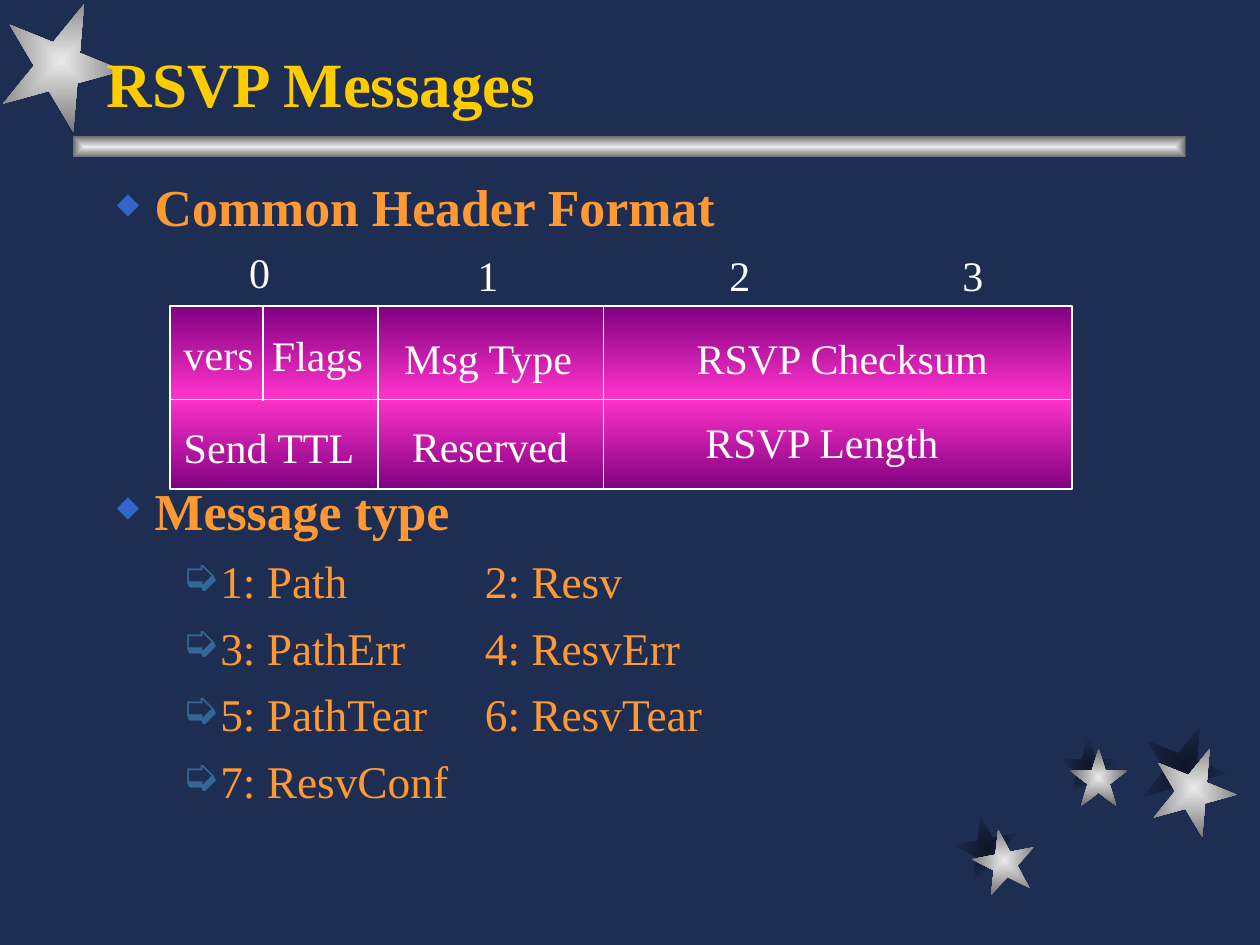
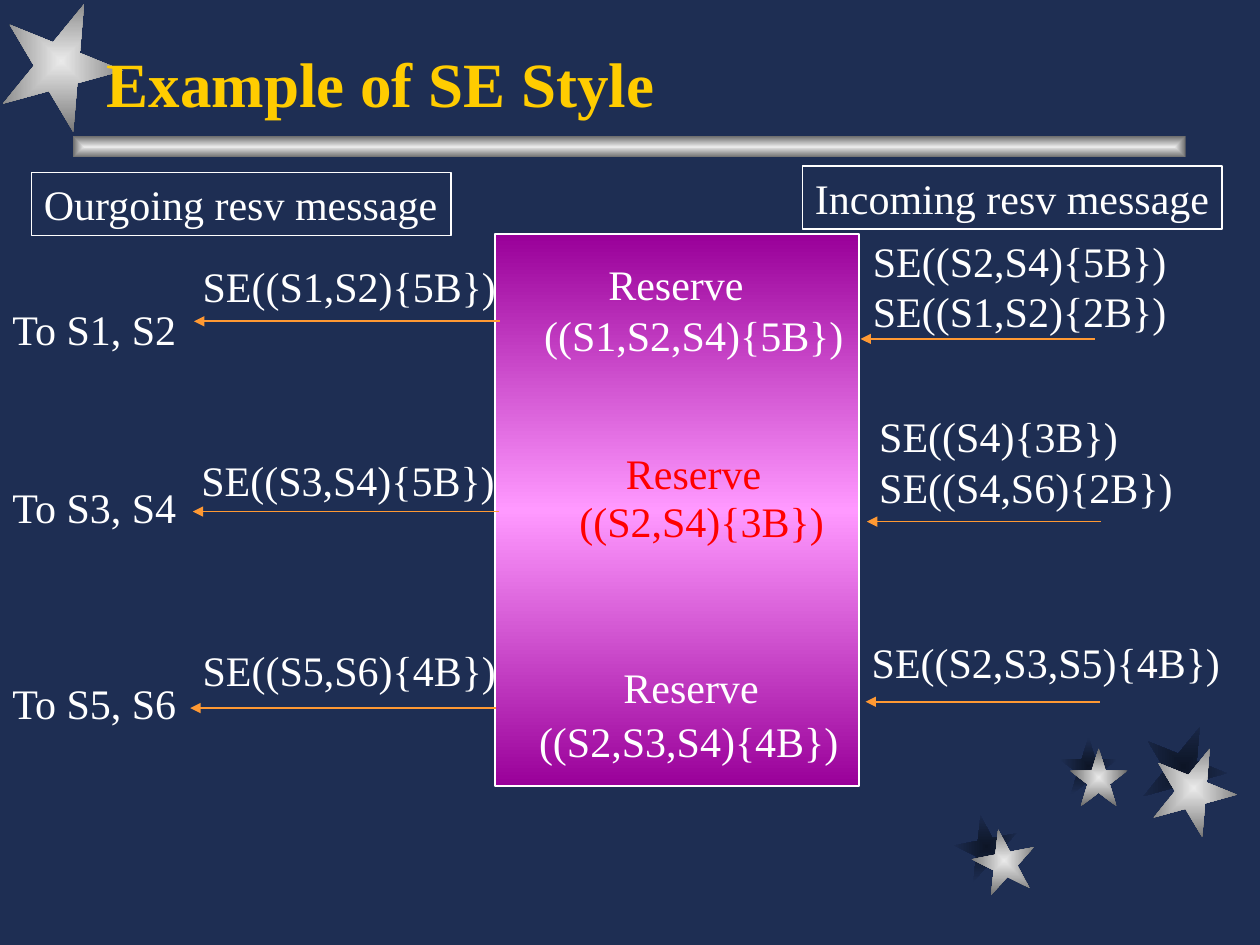
from lxml import etree
from pptx import Presentation
from pptx.dml.color import RGBColor
from pptx.enum.shapes import MSO_CONNECTOR, MSO_SHAPE
from pptx.enum.text import MSO_ANCHOR, MSO_AUTO_SIZE
from pptx.oxml.ns import qn
from pptx.util import Inches, Pt

STAR, RECTANGLE = MSO_SHAPE.STAR_5_POINT, MSO_SHAPE.RECTANGLE
STRAIGHT = MSO_CONNECTOR.STRAIGHT
BOTTOM, FIT_SHAPE = MSO_ANCHOR.BOTTOM, MSO_AUTO_SIZE.SHAPE_TO_FIT_TEXT
FONT = "Times New Roman"
COLORS = {
    "night": "1E2E53", "shade": "0D1526", "silver": "EAEAEA", "steel": "6B6B6B",
    "gold": "FFCC00", "orange": "FF9933", "white": "FFFFFF", "red": "FF0000",
    "diamond": "3366CC", "arrow": "336699", "purple": "800080", "pink": "FF33CC",
    "violet": "990099", "rose": "FF99FF",
}
METAL, SHADOW = ("silver", "steel"), ("shade", "night")


def color(name):
    """Return a named colour."""
    return RGBColor.from_string(COLORS[name])


def add_node(parent, tag, **attributes):
    """Append a drawing element to a parent."""
    return etree.SubElement(parent, qn(tag), attributes)


def fill_gradient(shape, names, from_center):
    """Spread the named colours evenly, from the centre or top to bottom."""
    shape.fill.gradient()
    gradient = shape.fill._xPr.find(qn("a:gradFill"))
    gradient.clear()
    stops = add_node(gradient, "a:gsLst")
    for index, name in enumerate(names):
        stop = add_node(stops, "a:gs", pos=str(100000 * index // (len(names) - 1)))
        add_node(stop, "a:srgbClr", val=COLORS[name])
    if from_center:
        focus = add_node(gradient, "a:path", path="rect")
        add_node(focus, "a:fillToRect", l="50000", t="50000", r="50000", b="50000")
    else:
        add_node(gradient, "a:lin", ang="5400000", scaled="1")


def add_gradient_shape(page, kind, box, names, from_center=True, rotation=0):
    """Add a gradient shape without outline or shadow."""
    shape = page.shapes.add_shape(kind, *map(Inches, box))
    shape.shadow.inherit = False
    shape.rotation = rotation
    shape.line.fill.background()
    fill_gradient(shape, names, from_center)
    return shape


def outline(shape):
    """Give a shape a thin white outline."""
    shape.line.color.rgb = color("white")
    shape.line.width = Pt(1)


def add_line(page, start, end, name, arrow=False):
    """Add a thin line, optionally with an arrowhead at its start."""
    line = page.shapes.add_connector(STRAIGHT, *map(Inches, start + end))
    line.line.color.rgb = color(name)
    line.line.width = Pt(1)
    if arrow:
        add_node(line.line._get_or_add_ln(), "a:headEnd", type="triangle")
    add_node(line._element.spPr, "a:effectLst")


def style_para(para, size, name, bold=False):
    """Set the font of a paragraph."""
    para.font.name, para.font.size, para.font.bold = FONT, Pt(size), bold
    para.font.color.rgb = color(name)


def add_label(page, box, text, name="white", framed=False):
    """Add an unwrapped label, one paragraph for each line of text."""
    label = page.shapes.add_textbox(*map(Inches, box))
    frame = label.text_frame
    frame.word_wrap = False
    frame.auto_size = FIT_SHAPE
    frame.text = text
    for para in frame.paragraphs:
        style_para(para, 24, name)
    if framed:
        outline(label)


def add_page(deck, title):
    """Add a page with night sky, stars, silver bar and title."""
    page = deck.slides.add_slide(deck.slide_layouts[6])
    page.background.fill.solid()
    page.background.fill.fore_color.rgb = color("night")
    stars = [
        (7.58, 6.47, 0.5, 349, SHADOW), (8.41, 5.85, 0.46, 0, SHADOW),
        (9.06, 5.75, 0.67, 22, SHADOW), (7.72, 6.58, 0.5, 349, METAL),
        (8.49, 5.94, 0.46, 0, METAL), (9.14, 5.92, 0.67, 22, METAL),
        (0, 0, 0.97, 22, METAL),
    ]
    add_gradient_shape(page, RECTANGLE, (0.58, 1.08, 8.83, 0.17), METAL)
    for left, top, size, rotation, names in stars:
        add_gradient_shape(page, STAR, (left, top, size, size), names, rotation=rotation)
    frame = page.shapes.add_textbox(*map(Inches, (0.75, 0.25, 8.5, 0.75))).text_frame
    frame.word_wrap = True
    frame.vertical_anchor = BOTTOM
    frame.text = title
    style_para(frame.paragraphs[0], 36, "gold", True)
    return page


def format_bullet(para, symbol, name, percent, margin, hanging):
    """Give a paragraph a hanging bullet and tab stops every inch."""
    properties = para._p.get_or_add_pPr()
    properties.set("marL", str(Inches(margin)))
    properties.set("indent", str(-Inches(hanging)))
    add_node(add_node(properties, "a:buClr"), "a:srgbClr", val=COLORS[name])
    add_node(properties, "a:buSzPct", val=str(percent * 1000))
    add_node(properties, "a:buChar", char=symbol)
    tabs = add_node(properties, "a:tabLst")
    for inch in range(1, 9):
        add_node(tabs, "a:tab", pos=str(Inches(inch)), algn="l")


def add_outline(page, box, entries):
    """Add headings and items given as level, space before and text."""
    frame = page.shapes.add_textbox(*map(Inches, box)).text_frame
    frame.word_wrap = True
    for index, (level, space, text) in enumerate(entries):
        para = frame.add_paragraph() if index else frame.paragraphs[0]
        para.add_run().text = text
        if level:
            para.level = level
            format_bullet(para, "➭", "arrow", 100, 0.9, 0.31)
            style_para(para, 25.9, "orange")
        else:
            format_bullet(para, "◆", "diamond", 56, 0.38, 0.3)
            style_para(para, 29.6, "orange", True)
        if index:
            para.space_before = Pt(space)


def add_header_diagram(page, box):
    """Draw the header fields, with byte numbers above them."""
    left, top, width, height = box
    field = add_gradient_shape(page, RECTANGLE, box, ("purple", "pink", "purple"), False)
    outline(field)
    middle, bottom = top + 0.74, top + height
    add_line(page, (left, middle), (left + width - 0.02, middle), "white")
    for offset, end in [(0.74, middle + 0.01), (1.65, bottom), (3.44, bottom)]:
        add_line(page, (left + offset, top + 0.01), (left + offset, end), "white")
    labels = [
        (0.53, -0.52, 0.36, "0"), (2.34, -0.5, 0.36, "1"),
        (4.34, -0.5, 0.36, "2"), (6.19, -0.5, 0.36, "3"),
        (0.01, 0.13, 0.82, "vers"), (0.71, 0.14, 0.95, "Flags"),
        (1.76, 0.16, 1.6, "Msg Type"), (4.08, 0.16, 2.6, "RSVP Checksum"),
        (0.01, 0.87, 1.6, "Send TTL"), (1.82, 0.86, 1.5, "Reserved"),
        (4.15, 0.83, 2.1, "RSVP Length"),
    ]
    for across, down, label_width, text in labels:
        add_label(page, (left + across, top + down, label_width, 0.5), text)


def add_reservations(page, box):
    """Draw the router with its three reservations."""
    left, top = box[:2]
    router = add_gradient_shape(page, RECTANGLE, box, ("violet", "rose", "violet"), False)
    outline(router)
    reservations = [
        (0.8, 0.14, 0.29, 0.55, "((S1,S2,S4){5B})", "white"),
        (0.94, 1.64, 0.57, 2.02, "((S2,S4){3B})", "red"),
        (0.92, 3.34, 0.25, 3.77, "((S2,S3,S4){4B})", "white"),
    ]
    for across, down, style_across, style_down, style, name in reservations:
        add_label(page, (left + across, top + down, 1.3, 0.5), "Reserve", name)
        add_label(page, (left + style_across, top + style_down, 2.7, 0.5), style, name)


def add_outgoing(page, box):
    """Draw the outgoing messages with their targets."""
    left, top = box[:2]
    add_label(page, (left + 0.25, top, 3.33, 0.5), "Ourgoing resv message", framed=True)
    messages = [
        (1.54, 1.18, 1.51, 0.65, "SE((S1,S2){5B})", 0.99, "To S1, S2"),
        (1.53, 2.69, 1.5, 2.19, "SE((S3,S4){5B})", 2.4, "To S3, S4"),
        (1.51, 4.25, 1.51, 3.7, "SE((S5,S6){4B})", 3.96, "To S5, S6"),
    ]
    for tip, level, across, down, style, target_down, target in messages:
        start = (left + tip, top + level)
        add_line(page, start, (start[0] + 2.43, start[1]), "orange", True)
        add_label(page, (left + across, top + down, 2.6, 0.5), style)
        add_label(page, (left, top + target_down, 1.6, 0.5), target)


def add_incoming(page, box):
    """Draw the incoming messages."""
    left, top = box[:2]
    add_label(page, (left - 0.45, top, 3.33, 0.5), "Incoming resv message", framed=True)
    messages = [
        (0.01, 1.37, 0.01, 0.5, 0.9, "SE((S2,S4){5B})\nSE((S1,S2){2B})"),
        (0.06, 2.82, 0.06, 1.89, 0.9, "SE((S4){3B})\nSE((S4,S6){2B})"),
        (0.05, 4.25, 0, 3.68, 0.5, "SE((S2,S3,S5){4B})"),
    ]
    for tip, level, across, down, height, text in messages:
        start = (left + tip, top + level)
        add_line(page, start, (start[0] + 1.86, start[1]), "orange", True)
        add_label(page, (left + across, top + down, 3.1, height), text)


def main():
    """Build and save the deck."""
    deck = Presentation()
    deck.slide_width, deck.slide_height = Inches(10), Inches(7.5)
    page = add_page(deck, "RSVP Messages")
    add_outline(page, (0.75, 1.34, 8.5, 5.24), [
        (0, 0, "Common Header Format"),
        (0, 138, "Message type"),
        (1, 7, "1: Path\t\t2: Resv"),
        (1, 7, "3: PathErr\t4: ResvErr"),
        (1, 7, "5: PathTear\t6: ResvTear"),
        (1, 7, "7: ResvConf"),
    ])
    add_header_diagram(page, (1.35, 2.43, 7.16, 1.45))
    page = add_page(deck, "Example of SE Style")
    add_reservations(page, (3.93, 1.86, 2.89, 4.38))
    add_outgoing(page, (0, 1.37, 3.93, 4.87))
    add_incoming(page, (6.82, 1.32, 3.18, 4.92))
    deck.save("out.pptx")


if __name__ == "__main__":
    main()
